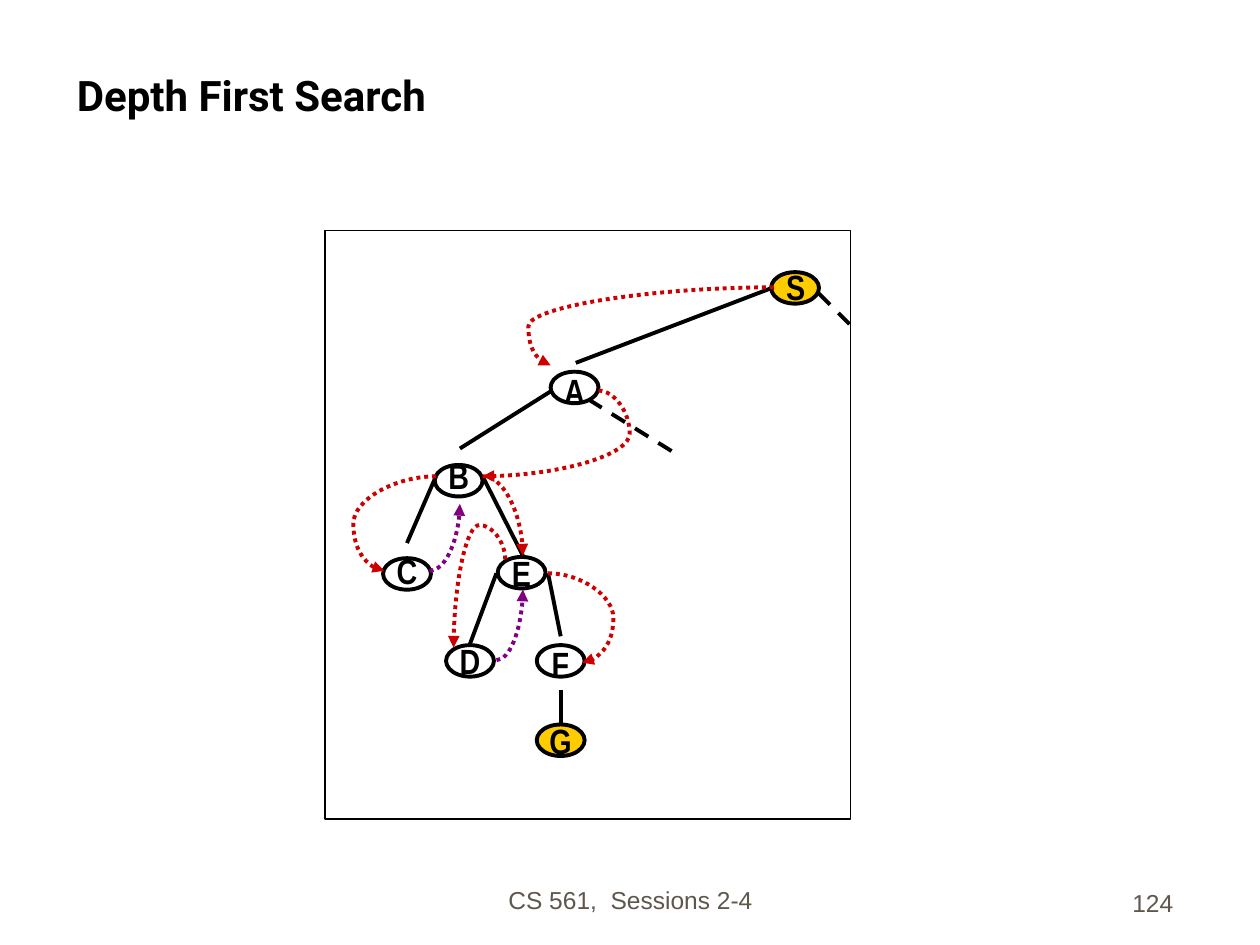
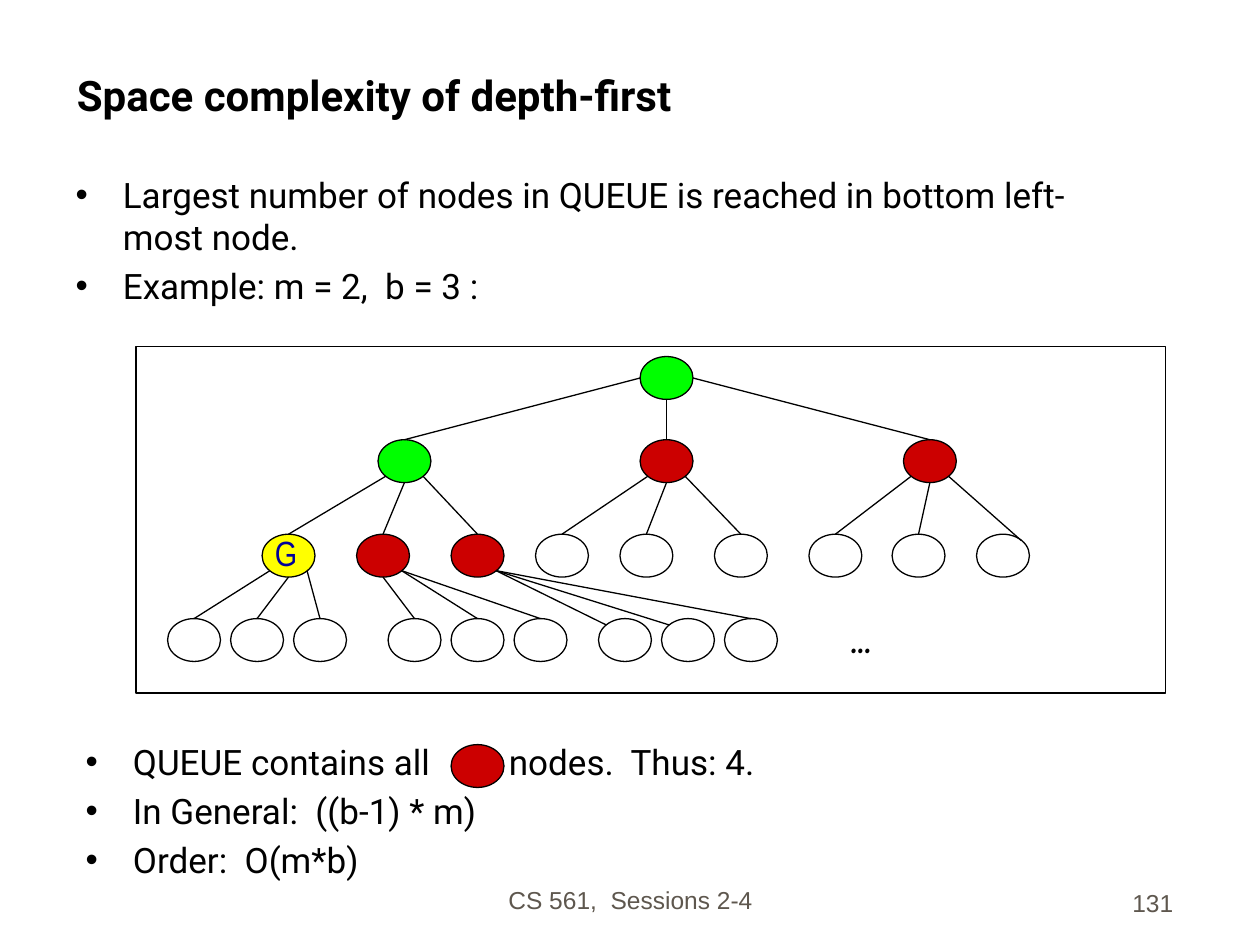
from math import cos, radians, sin
from typing import NamedTuple, Optional

from lxml import etree
from pptx import Presentation
from pptx import util as u
from pptx.dml.color import RGBColor
from pptx.enum import dml, shapes, text
from pptx.oxml.ns import qn

BLACK = RGBColor(0, 0, 0)
WHITE = RGBColor(0xFF, 0xFF, 0xFF)
FOOTER_GREY = RGBColor(0x5E, 0x57, 0x4E)
GOLD = RGBColor(0xFF, 0xCC, 0x00)
RED = RGBColor(0xCC, 0x00, 0x00)
PURPLE = RGBColor(0x80, 0x00, 0x80)
GREEN = RGBColor(0x00, 0xFF, 0x00)
YELLOW = RGBColor(0xFF, 0xFF, 0x00)
NAVY = RGBColor(0x00, 0x00, 0x99)

THIN, THICK = 0.75, 2.25
TWO_CONTENT, TITLE_ONLY = 3, 5
LEFT, CENTER, RIGHT = text.PP_ALIGN.LEFT, text.PP_ALIGN.CENTER, text.PP_ALIGN.RIGHT
TOP, MIDDLE, BOTTOM = (text.MSO_ANCHOR.TOP, text.MSO_ANCHOR.MIDDLE,
                       text.MSO_ANCHOR.BOTTOM)

Point = tuple[float, float]


class Style(NamedTuple):
    font: str
    size: float
    color: RGBColor = BLACK
    bold: bool = False


TITLE = Style("Roboto", 24, bold=True)
BODY = Style("Roboto", 20)
FOOTER = Style("Arial", 14, FOOTER_GREY)
NODE_LABEL = Style("Arial Narrow", 20, bold=True)
GOAL_LABEL = Style("Arial Narrow", 20, NAVY)
ELLIPSIS = Style("Comic Neue", 22, bold=True)


class Box(NamedTuple):
    left: float
    top: float
    width: float
    height: float

    def lengths(self) -> list[u.Length]:
        return [u.Inches(value) for value in self]

    def at(self, site: Point) -> Point:
        """Point at a fraction of the width and height."""
        return self.left + site[0] * self.width, self.top + site[1] * self.height


class Node(NamedTuple):
    """A search node; label_at moves its letter into a text box of its own."""
    label: str
    left: float
    top: float
    label_at: Optional[Point] = None
    fill: Optional[RGBColor] = None


class Curve(NamedTuple):
    """A curved arrow; bend is None for a quarter turn."""
    start: Point
    end: Point
    bend: Optional[float] = None
    rotation: int = 0
    color: RGBColor = RED


def add_span(para, words: str, style: Style):
    span = para.add_run()
    span.text = words
    span.font.name, span.font.size = style.font, u.Pt(style.size)
    span.font.bold, span.font.color.rgb = style.bold, style.color
    return span


def write(shape, words: str, style: Style, align=LEFT, anchor=TOP,
          wrap: bool = True) -> None:
    frame = shape.text_frame
    frame.word_wrap, frame.vertical_anchor = wrap, anchor
    frame.auto_size = text.MSO_AUTO_SIZE.NONE
    para = frame.paragraphs[0]
    para.alignment = align
    add_span(para, words, style)


def add_text(page, box: Box, words: str, style: Style, align=LEFT, anchor=TOP,
             wrap: bool = True) -> None:
    write(page.shapes.add_textbox(*box.lengths()), words, style, align, anchor, wrap)


def place(shape, box: Box) -> None:
    shape.left, shape.top, shape.width, shape.height = box.lengths()


def fill_list(shape, box: Box, items: list[list[str]]) -> None:
    """Fill a body placeholder; the parts of an item are set apart by a wide gap."""
    place(shape, box)
    frame = shape.text_frame
    frame.auto_size = text.MSO_AUTO_SIZE.NONE
    for index, parts in enumerate(items):
        para = frame.add_paragraph() if index else frame.paragraphs[0]
        para.space_before = u.Pt(4 if index else 0)
        for number, part in enumerate(parts):
            if number:
                gap = add_span(para, " ", BODY)
                gap.font._element.set("spc", "4000")
            add_span(para, part, BODY)


def add_outlined(page, kind, box: Box, fill: Optional[RGBColor], weight: float):
    shape = page.shapes.add_shape(kind, *box.lengths())
    shape.shadow.inherit = False
    if fill is None:
        shape.fill.background()
    else:
        shape.fill.solid()
        shape.fill.fore_color.rgb = fill
    shape.line.color.rgb, shape.line.width = BLACK, u.Pt(weight)
    return shape


def add_line(page, start: Point, end: Point, weight: float, color=BLACK, dash=None,
             kind=shapes.MSO_CONNECTOR.STRAIGHT):
    line = page.shapes.add_connector(kind, *(u.Inches(v) for v in (*start, *end)))
    line.line.color.rgb, line.line.width = color, u.Pt(weight)
    if dash is not None:
        line.line.dash_style = dash
    etree.SubElement(line._element.spPr, qn("a:effectLst"))
    return line


def add_curve(page, curve: Curve) -> None:
    """Draw a dotted curved arrow, turned about its middle."""
    (x1, y1), (x2, y2) = curve.start, curve.end
    mid_x, mid_y = (x1 + x2) / 2, (y1 + y2) / 2
    turn = radians(-curve.rotation)

    def unturned(x: float, y: float) -> Point:
        dx, dy = x - mid_x, y - mid_y
        return (mid_x + dx * cos(turn) - dy * sin(turn),
                mid_y + dx * sin(turn) + dy * cos(turn))

    arrow = add_line(page, unturned(x1, y1), unturned(x2, y2), THICK, curve.color,
                     dml.MSO_LINE.ROUND_DOT, shapes.MSO_CONNECTOR.CURVE)
    properties = arrow._element.spPr
    if curve.rotation:
        properties.find(qn("a:xfrm")).set("rot", str(curve.rotation * 60000))
    geometry = properties.find(qn("a:prstGeom"))
    if curve.bend is None:
        geometry.set("prst", "curvedConnector2")
    else:
        guide = etree.SubElement(geometry.find(qn("a:avLst")), qn("a:gd"))
        guide.set("name", "adj1")
        guide.set("fmla", f"val {round(curve.bend * 100000)}")
    etree.SubElement(properties.find(qn("a:ln")), qn("a:tailEnd")).set("type", "triangle")


def add_page(deck, layout: int, title: str, number: str):
    page = deck.slides.add_slide(deck.slide_layouts[layout])
    place(page.shapes.title, Box(0.51, 0.25, 8.92, 0.75))
    write(page.shapes.title, title, TITLE, anchor=BOTTOM)
    add_text(page, Box(3.42, 6.81, 3.17, 0.5), "CS 561,  Sessions 2-4", FOOTER,
             CENTER, BOTTOM)
    add_text(page, Box(7.33, 6.83, 2.08, 0.5), number, FOOTER, RIGHT, BOTTOM)
    return page


SEARCH_NODES = [
    Node("B", 3.45, 3.69, (3.46, 3.56)),
    Node("C", 3.04, 4.43, (3.05, 4.31)),
    Node("E", 3.95, 4.42),
    Node("D", 3.54, 5.12),
    Node("F", 4.26, 5.12, (4.28, 5.05)),
    Node("G", 4.26, 5.75, fill=GOLD),
    Node("S", 6.12, 2.16, (6.14, 2.06), GOLD),
    Node("A", 4.37, 2.95, (4.38, 2.88)),
]
SEARCH_EDGES = [
    ((6.14, 2.28), (4.57, 2.88)), ((4.38, 3.1), (3.65, 3.56)),
    ((3.46, 3.78), (3.23, 4.31)), ((3.83, 3.78), (4.15, 4.41)),
    ((3.94, 4.55), (3.73, 5.11)), ((4.35, 4.55), (4.45, 5.05)),
    ((4.45, 5.48), (4.45, 5.74)),
]
OPEN_EDGES = [((4.67, 3.17), (5.33, 3.58)), ((6.5, 2.33), (6.75, 2.58))]
VISITS = [
    Curve((6.14, 2.28), (4.37, 2.9), 1.1, 180),
    Curve((4.75, 3.1), (3.83, 3.78), -0.27),
    Curve((3.46, 3.78), (3.05, 4.53), 1.6, 180),
    Curve((3.41, 4.53), (3.65, 4), color=PURPLE),
    Curve((3.83, 3.78), (4.15, 4.41)),
    Curve((4.01, 4.44), (3.6, 5.14), -0.39, 270),
    Curve((3.94, 5.24), (4.15, 4.68), color=PURPLE),
    Curve((4.35, 4.55), (4.62, 5.26), 1.92),
]


def build_search(deck) -> None:
    page = add_page(deck, TITLE_ONLY, "Depth First Search", "124")
    add_outlined(page, shapes.MSO_SHAPE.RECTANGLE, Box(2.58, 1.83, 4.17, 4.67),
                 WHITE, THIN)
    for node in SEARCH_NODES:
        oval = add_outlined(page, shapes.MSO_SHAPE.OVAL,
                            Box(node.left, node.top, 0.38, 0.25), node.fill, THICK)
        if node.label_at:
            add_text(page, Box(*node.label_at, 0.37, 0.43), node.label, NODE_LABEL,
                     wrap=False)
        else:
            write(oval, node.label, NODE_LABEL, CENTER, MIDDLE, wrap=False)
    for start, end in SEARCH_EDGES:
        add_line(page, start, end, THICK)
    for start, end in OPEN_EDGES:
        add_line(page, start, end, THICK, dash=dml.MSO_LINE.DASH)
    for visit in VISITS:
        add_curve(page, visit)


# Sites on an oval as fractions of its box.
N, NW, NE = (0.5, 0), (0.15, 0.15), (0.85, 0.15)
W, E, S = (0, 0.5), (1, 0.5), (0.5, 1)
SW, SE = (0.15, 0.85), (0.85, 0.85)
OVAL_SIZE = (0.42, 0.34)

LEVEL_TOPS = [2.83, 3.49, 4.24, 4.91]
LEVEL_LEFTS = [
    [5.08],
    [3, 5.08, 7.17],
    [2.08, 2.83, 3.58, 4.25, 4.92, 5.67, 6.42, 7.08, 7.75],
    [1.33, 1.83, 2.33, 3.08, 3.58, 4.08, 4.75, 5.25, 5.75],
]
LEVEL_FILLS = [[GREEN], [GREEN, RED, RED], [YELLOW, RED, RED] + [WHITE] * 6, [WHITE] * 9]
# Leaving sites of each parent, then the few children not reached at the top.
LEAVING = [
    [(W, S, E)],
    [(SW, S, SE)] * 3,
    [(SW, S, SE), (S, SE, SE), (SE, SE, SE)],
]
ARRIVING = {(2, 8): NE, (3, 6): NW, (3, 7): NW}


def build_space(deck) -> None:
    page = add_page(deck, TWO_CONTENT, "Space complexity of depth-first", "131")
    fill_list(page.placeholders[1], Box(0.5, 1.33, 8.67, 1.25), [
        ["Largest number of nodes in QUEUE is reached in bottom left-most node."],
        ["Example: m = 2,  b = 3 :"]])
    fill_list(page.placeholders[2], Box(0.58, 5.83, 8.67, 1.5), [
        ["QUEUE contains all", "nodes.  Thus: 4."],
        ["In General:  ((b-1) * m)"],
        ["Order:  O(m*b)"]])
    add_outlined(page, shapes.MSO_SHAPE.RECTANGLE, Box(1.08, 2.75, 8.17, 2.75),
                 WHITE, THIN)
    levels = [[Box(left, top, *OVAL_SIZE) for left in lefts]
              for top, lefts in zip(LEVEL_TOPS, LEVEL_LEFTS)]
    for boxes, fills in zip(levels, LEVEL_FILLS):
        for box, fill in zip(boxes, fills):
            add_outlined(page, shapes.MSO_SHAPE.OVAL, box, fill, THIN)
    for depth, parents in enumerate(LEAVING):
        for index, sites in enumerate(parents):
            for child, site in enumerate(sites, start=3 * index):
                arrival = ARRIVING.get((depth + 1, child), N)
                add_line(page, levels[depth][index].at(site),
                         levels[depth + 1][child].at(arrival), THIN)
    add_outlined(page, shapes.MSO_SHAPE.OVAL, Box(3.58, 5.91, *OVAL_SIZE), RED, THIN)
    add_text(page, Box(6.65, 4.83, 0.6, 0.47), "...", ELLIPSIS, wrap=False)
    add_text(page, Box(2.08, 4.17, 0.38, 0.44), "G", GOAL_LABEL, CENTER, wrap=False)


def main() -> None:
    deck = Presentation()
    deck.slide_width, deck.slide_height = u.Inches(10), u.Inches(7.5)
    build_search(deck)
    build_space(deck)
    deck.save("out.pptx")


if __name__ == "__main__":
    main()
